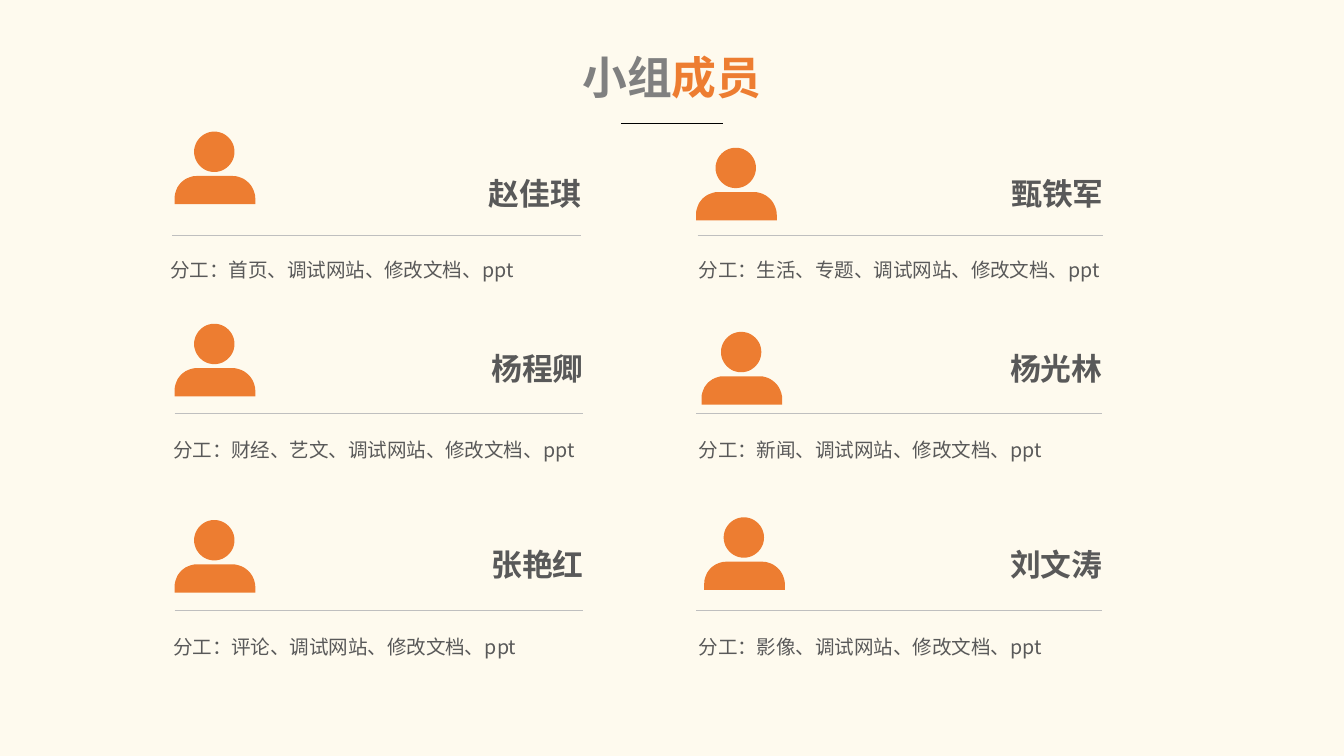
from math import cos, pi, sin

from lxml import etree
from pptx import Presentation
from pptx.dml.color import RGBColor
from pptx.enum.shapes import MSO_CONNECTOR
from pptx.enum.text import MSO_ANCHOR, MSO_AUTO_SIZE, PP_ALIGN
from pptx.oxml.ns import qn
from pptx.util import Inches, Pt

STRAIGHT = MSO_CONNECTOR.STRAIGHT
TOP, MIDDLE = MSO_ANCHOR.TOP, MSO_ANCHOR.MIDDLE
LEFT, CENTER, RIGHT = PP_ALIGN.LEFT, PP_ALIGN.CENTER, PP_ALIGN.RIGHT

CREAM = RGBColor(0xFE, 0xFA, 0xEE)
ORANGE = RGBColor(0xED, 0x7D, 0x31)
BLACK = RGBColor(0, 0, 0)
GRAY = RGBColor(0x80, 0x80, 0x80)
DARK_GRAY = RGBColor(0x59, 0x59, 0x59)
LIGHT_GRAY = RGBColor(0xBF, 0xBF, 0xBF)

CJK_FONT = "Noto Sans CJK SC"
TITLE_FORMAT = {"size": Pt(24), "bold": True, "name": "Calibri"}
NAME_FORMAT = {"size": Pt(16.5), "bold": True, "name": CJK_FONT}
TASK_FORMAT = {"size": Pt(10.5), "bold": False, "name": CJK_FONT}

# name, task, (rule left, rule top, rule width), icon offset, name rise, task offset
# Offsets are measured from the left end of the rule.
MEMBERS = [
    ("赵佳琪", "首页、调试网站、修改文档、ppt", (1.28, 1.75, 3.04), (0.02, -0.77), 0.5, (-0.11, 0.07)),
    ("甄铁军", "生活、专题、调试网站、修改文档、ppt", (5.19, 1.75, 3.02), (-0.01, -0.65), 0.5, (-0.09, 0.07)),
    ("杨程卿", "财经、艺文、调试网站、修改文档、ppt", (1.3, 3.08, 3.04), (0, -0.67), 0.53, (-0.11, 0.08)),
    ("杨光林", "新闻、调试网站、修改文档、ppt", (5.18, 3.08, 3.02), (0.04, -0.61), 0.53, (-0.08, 0.08)),
    ("张艳红", "评论、调试网站、修改文档、ppt", (1.3, 4.54, 3.04), (0, -0.67), 0.53, (-0.11, 0.08)),
    ("刘文涛", "影像、调试网站、修改文档、ppt", (5.18, 4.54, 3.02), (0.06, -0.69), 0.53, (-0.08, 0.08)),
]


def add_text(slide, box, runs, text_format, align=LEFT, anchor=TOP, wrap=False, spacing=1.0):
    shape = slide.shapes.add_textbox(*map(Inches, box))
    frame = shape.text_frame
    frame.word_wrap = wrap
    frame.auto_size = MSO_AUTO_SIZE.SHAPE_TO_FIT_TEXT
    frame.vertical_anchor = anchor
    paragraph = frame.paragraphs[0]
    paragraph.alignment = align
    paragraph.line_spacing = spacing
    for text, color in runs:
        run = paragraph.add_run()
        run.text = text
        for attribute, value in text_format.items():
            setattr(run.font, attribute, value)
        run.font.color.rgb = color
        # East Asian typeface
        etree.SubElement(run.font._element, qn("a:ea"), typeface=CJK_FONT)


def add_rule(slide, left, top, width, color):
    rule = slide.shapes.add_connector(
        STRAIGHT, Inches(left), Inches(top), Inches(left + width), Inches(top))
    rule.line.color.rgb = color
    rule.line.width = Pt(0.5)
    etree.SubElement(rule._element.spPr, qn("a:effectLst"))


def arc(center_x, center_y, radius, start, end, steps=12):
    """Points of an arc, with angles in half turns."""
    angles = [pi * (start + (end - start) * step / steps) for step in range(steps + 1)]
    return [(center_x + radius * cos(angle), center_y + radius * sin(angle)) for angle in angles]


def add_person(slide, left, top):
    # Outline in thousandths of an inch
    head = arc(295, 150, 150, 0, 2, 48)
    shoulders = [(0, 540), *arc(165, 495, 165, 1, 1.5),
                 *arc(430, 500, 170, 1.5, 2), (600, 540)]
    builder = slide.shapes.build_freeform(*shoulders[0], scale=Inches(1) / 1000)
    builder.add_line_segments(shoulders[1:], close=True)
    builder.move_to(*head[0])
    builder.add_line_segments(head[1:], close=True)
    person = builder.convert_to_shape(Inches(left), Inches(top))
    person.shadow.inherit = False
    person.fill.solid()
    person.fill.fore_color.rgb = ORANGE
    person.line.fill.background()


def add_title(slide, left, top, width):
    add_text(slide, (left, top, width, 0.5), [("小组", GRAY), ("成员", ORANGE)],
             TITLE_FORMAT, align=CENTER)
    add_rule(slide, left + (width - 0.76) / 2, top + 0.6, 0.76, BLACK)


def add_member(slide, name, task, rule, icon_offset, name_rise, task_offset):
    left, top, width = rule
    add_person(slide, left + icon_offset[0], top + icon_offset[1])
    add_rule(slide, left, top, width, LIGHT_GRAY)
    add_text(slide, (left + width - 0.8, top - name_rise, 0.9, 0.38),
             [(name, DARK_GRAY)], NAME_FORMAT, align=RIGHT, anchor=MIDDLE)
    add_text(slide, (left + task_offset[0], top + task_offset[1], 3.33, 0.33),
             [("分工：" + task, DARK_GRAY)], TASK_FORMAT, wrap=True, spacing=1.3)


def main():
    presentation = Presentation()
    presentation.slide_width = Inches(10)
    presentation.slide_height = Inches(10 * 9 / 16)
    slide = presentation.slides.add_slide(presentation.slide_layouts[6])
    slide.background.fill.solid()
    slide.background.fill.fore_color.rgb = CREAM

    add_title(slide, 4.22, 0.32, 1.56)
    for member in MEMBERS:
        add_member(slide, *member)
    presentation.save("out.pptx")


if __name__ == "__main__":
    main()
